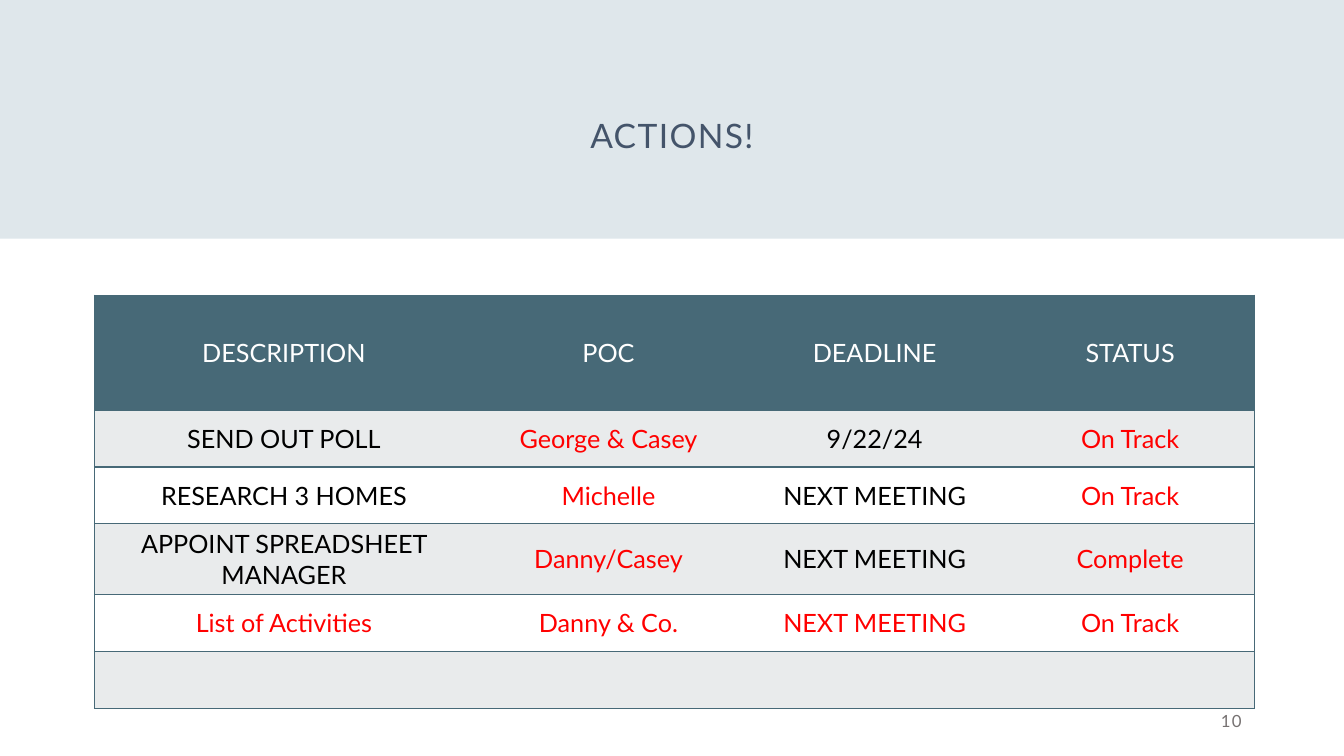
from dataclasses import dataclass

from lxml.etree import SubElement
from pptx import Presentation
from pptx.dml.color import RGBColor
from pptx.enum.shapes import MSO_SHAPE
from pptx.enum.text import MSO_ANCHOR, PP_ALIGN
from pptx.oxml.ns import qn
from pptx.slide import Slide
from pptx.table import _Cell
from pptx.text.text import TextFrame
from pptx.util import Pt

COLORS = {
    "band": "D7E2E7",
    "title": "44546A",
    "teal": "476977",
    "stripe": "E9EBEC",
    "white": "FFFFFF",
    "black": "000000",
    "red": "FF0000",
    "gray": "767171",
}
FONT_NAME = "Lato"
COLUMN_WIDTHS = (270.7, 193, 187.2, 177.8)
HEADER_HEIGHT = 82.2
ROW_HEIGHT = 40.6


@dataclass(frozen=True)
class Label:
    text: str
    left: float
    top: float
    width: float
    height: float
    size: float
    color: str
    align: PP_ALIGN
    anchor: MSO_ANCHOR
    line_spacing: float = 1.0


@dataclass(frozen=True)
class ActionRow:
    texts: tuple[str, ...]
    colors: tuple[str, ...]
    fill: str
    height: float = ROW_HEIGHT


LABELS = (
    Label("ACTIONS!", 66, 18.7, 828, 95.8, 24, "title",
          PP_ALIGN.CENTER, MSO_ANCHOR.BOTTOM, 0.9),
    Label("10", 678, 500.4, 216, 28.8, 12, "gray",
          PP_ALIGN.RIGHT, MSO_ANCHOR.MIDDLE),
)

MIXED = ("black", "red", "black", "red")
ROWS = (
    ActionRow(("DESCRIPTION", "POC", "DEADLINE", "STATUS"),
              ("white",) * 4, "teal", HEADER_HEIGHT),
    ActionRow(("SEND OUT POLL", "George & Casey", "9/22/24", "On Track"),
              MIXED, "stripe"),
    ActionRow(("RESEARCH 3 HOMES", "Michelle", "NEXT MEETING", "On Track"),
              MIXED, "white"),
    ActionRow(("APPOINT SPREADSHEET MANAGER", "Danny/Casey", "NEXT MEETING", "Complete"),
              MIXED, "stripe"),
    ActionRow(("List of Activities", "Danny & Co.", "NEXT MEETING", "On Track"),
              ("red",) * 4, "white"),
    ActionRow(("",) * 4, MIXED, "stripe"),
)


def rgb(name: str) -> RGBColor:
    return RGBColor.from_string(COLORS[name])


def write_text(frame: TextFrame, text: str, size: float, color: str,
               align: PP_ALIGN, spacing: int = 0, line_spacing: float = 1.0) -> None:
    paragraph = frame.paragraphs[0]
    for name, value in {"alignment": align, "line_spacing": line_spacing}.items():
        setattr(paragraph, name, value)
    if not text:
        return
    run = paragraph.add_run()
    run.text = text
    for name, value in {"name": FONT_NAME, "size": Pt(size), "bold": False}.items():
        setattr(run.font, name, value)
    run.font.color.rgb = rgb(color)
    if spacing:
        run.font._element.set("spc", str(spacing))


def add_band(slide: Slide) -> None:
    band = slide.shapes.add_shape(MSO_SHAPE.RECTANGLE, 0, 0, Pt(960), Pt(170.6))
    band.shadow.inherit = False
    band.line.fill.background()
    band.fill.solid()
    band.fill.fore_color.rgb = rgb("band")
    color = band._element.spPr.find(qn("a:solidFill")).find(qn("a:srgbClr"))
    SubElement(color, qn("a:alpha"), val="80000")


def add_label(slide: Slide, label: Label) -> None:
    shape = slide.shapes.add_textbox(
        Pt(label.left), Pt(label.top), Pt(label.width), Pt(label.height))
    frame = shape.text_frame
    for name, value in {"word_wrap": True, "vertical_anchor": label.anchor}.items():
        setattr(frame, name, value)
    write_text(frame, label.text, label.size, label.color, label.align,
               100, label.line_spacing)


def set_borders(cell: _Cell, is_first: bool, is_last: bool) -> None:
    properties = cell._tc.get_or_add_tcPr()
    sides = {"lnL": is_first, "lnR": is_last, "lnT": True, "lnB": True}
    for side, is_visible in sides.items():
        line = SubElement(properties, qn(f"a:{side}"), w=str(Pt(1)))
        if is_visible:
            fill = SubElement(line, qn("a:solidFill"))
            SubElement(fill, qn("a:srgbClr"), val=COLORS["teal"])
        else:
            SubElement(line, qn("a:noFill"))


def add_action_table(slide: Slide) -> None:
    shape = slide.shapes.add_table(
        len(ROWS), len(COLUMN_WIDTHS), Pt(67.5), Pt(210.8),
        Pt(sum(COLUMN_WIDTHS)), Pt(sum(row.height for row in ROWS)))
    table = shape.table
    table.horz_banding = False
    for column, width in zip(table.columns, COLUMN_WIDTHS):
        column.width = Pt(width)
    last_column = len(COLUMN_WIDTHS) - 1
    for row_index, row in enumerate(ROWS):
        table.rows[row_index].height = Pt(row.height)
        for column_index, (text, color) in enumerate(zip(row.texts, row.colors)):
            cell = table.cell(row_index, column_index)
            set_borders(cell, column_index == 0, column_index == last_column)
            cell.fill.solid()
            cell.fill.fore_color.rgb = rgb(row.fill)
            cell.vertical_anchor = MSO_ANCHOR.MIDDLE
            write_text(cell.text_frame, text, 18, color, PP_ALIGN.CENTER)


def main() -> None:
    presentation = Presentation()
    presentation.slide_width = Pt(960)
    presentation.slide_height = Pt(540)
    slide = presentation.slides.add_slide(presentation.slide_layouts[6])

    # Heading band
    add_band(slide)

    # Action list
    add_action_table(slide)

    # Title and slide number
    for label in LABELS:
        add_label(slide, label)

    presentation.save("out.pptx")


if __name__ == "__main__":
    main()
